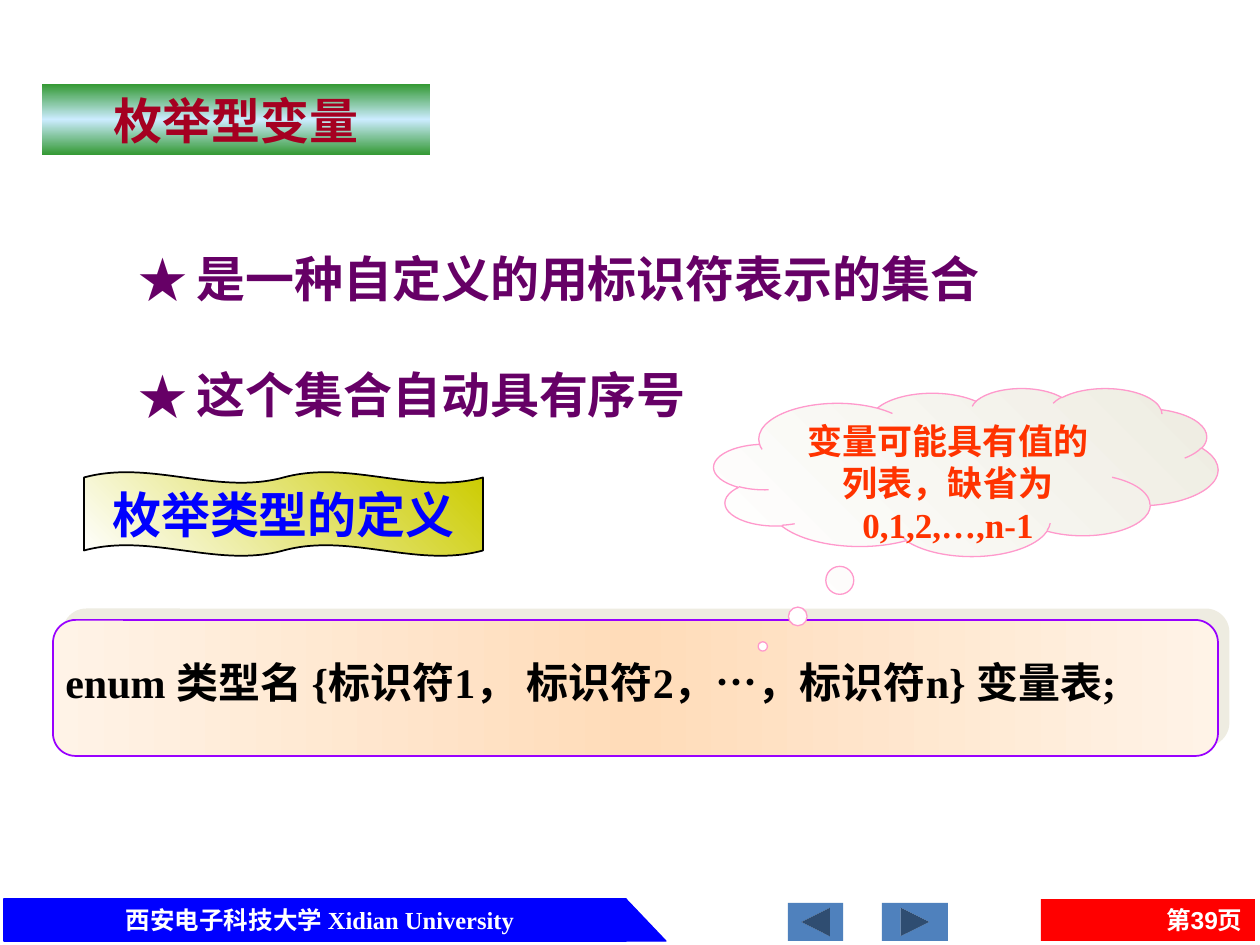
from lxml.etree import SubElement
from pptx import Presentation
from pptx.dml.color import RGBColor
from pptx.enum.shapes import MSO_SHAPE as Shape
from pptx.enum.text import MSO_ANCHOR as Anchor, MSO_AUTO_SIZE as AutoSize, PP_ALIGN as Align
from pptx.oxml.ns import qn
from pptx.util import Emu, Pt

PX_PER_INCH = 126
SERIF = "Times New Roman"
SANS_CJK = "Noto Sans CJK SC"


def px(length):
    return Emu(round(length * 914400 / PX_PER_INCH))


def color(hex_code):
    return RGBColor.from_string(hex_code)


def place(shape, left, top, width, height):
    shape.left, shape.top = px(left), px(top)
    shape.width, shape.height = px(width), px(height)


def write(shape, *lines, size, ink, font=SERIF, align=Align.LEFT, anchor=Anchor.TOP,
          wrap=True, gap=0, bullet=None, hang=0):
    """Fill a shape with one bold paragraph per line, with gap points between them."""
    frame = shape.text_frame
    frame.auto_size = AutoSize.NONE
    frame.word_wrap = wrap
    frame.vertical_anchor = anchor
    for number, line in enumerate(lines):
        paragraph = frame.add_paragraph() if number else frame.paragraphs[0]
        paragraph.text = line
        paragraph.alignment = align
        paragraph.space_before = Pt(gap if number else 0)
        if bullet:
            add_bullet(paragraph, bullet, font, px(hang))
        for run in paragraph.runs:
            run.font.size, run.font.bold, run.font.name = Pt(size), True, font
            run.font.color.rgb = color(ink)


def add_bullet(paragraph, mark, font, hang):
    properties = paragraph._p.get_or_add_pPr()
    properties.set("marL", str(hang))
    properties.set("indent", str(-hang))
    SubElement(properties, qn("a:buFont"), typeface=font)
    SubElement(properties, qn("a:buChar"), char=mark)


def paint_gradient(shape, *hex_codes, angle):
    """Spread the colours evenly; angle runs counter-clockwise."""
    shape.fill.gradient()
    shape.fill.gradient_angle = angle
    stops = shape._element.spPr.find(qn("a:gradFill")).find(qn("a:gsLst"))
    for stop in list(stops):
        stops.remove(stop)
    for number, hex_code in enumerate(hex_codes):
        position = 100000 * number // (len(hex_codes) - 1)
        stop = SubElement(stops, qn("a:gs"), pos=str(position))
        SubElement(stop, qn("a:srgbClr"), val=hex_code)


def add_figure(slide, kind, box, fill=None, outline=None, weight=0.75, adjust=()):
    figure = slide.shapes.add_shape(kind, *map(px, box))
    figure.shadow.inherit = False
    if fill:
        figure.fill.solid()
        figure.fill.fore_color.rgb = color(fill)
    if outline:
        figure.line.color.rgb = color(outline)
        figure.line.width = Pt(weight)
    else:
        figure.line.fill.background()
    for number, value in enumerate(adjust):
        figure.adjustments[number] = value
    return figure


def add_label(slide, box, text, **text_format):
    label = slide.shapes.add_textbox(*map(px, box))
    write(label, text, **text_format)


def cast_shadow(shape, hex_code, distance, angle):
    effects = shape._element.spPr.find(qn("a:effectLst"))
    shadow = SubElement(effects, qn("a:outerShdw"), dist=str(Pt(distance)),
                        dir=str(angle * 60000), algn="ctr", rotWithShape="0")
    SubElement(shadow, qn("a:srgbClr"), val=hex_code)


def add_footer(slide):
    top, height = 899, 42
    add_figure(slide, Shape.RECTANGLE, (4, top, 622, height), "0000FF", "0000FF")
    add_figure(slide, Shape.RIGHT_TRIANGLE, (626, top, 40, height), "0000FF", "0000FF")
    add_label(slide, (41, top, 558, height), "西安电子科技大学 Xidian University",
              size=14, ink="FFFFFF", align=Align.CENTER)
    page = add_figure(slide, Shape.RECTANGLE, (1041, top, 214, height), "FF0000")
    write(page, "第39页", size=14, ink="FFFFFF", font="Arial",
          align=Align.RIGHT, anchor=Anchor.MIDDLE)
    for left, width, turn in ((882, 66, 0), (788, 55, 180)):
        button = add_figure(slide, Shape.ACTION_BUTTON_FORWARD_OR_NEXT,
                            (left, 903, width, 38), "4F81BD")
        button.rotation = turn


def add_heading(slide):
    title = slide.shapes.title
    place(title, 42, 84, 388, 71)
    paint_gradient(title, "339933", "CCECFF", "339933", angle=90)
    write(title, "枚举型变量", size=28, ink="A50021", align=Align.CENTER)


def add_features(slide):
    features = slide.placeholders[1]
    place(features, 126, 242, 950, 187)
    write(features, "是一种自定义的用标识符表示的集合", "这个集合自动具有序号",
          size=28, ink="660066", font=SANS_CJK, gap=33, bullet="★", hang=58)


def add_definition(slide):
    banner = add_figure(slide, Shape.DOUBLE_WAVE, (84, 472, 399, 84),
                        outline="000000", weight=1, adjust=(0.065, 0))
    paint_gradient(banner, "FFFFFF", "CCCC00", angle=45)
    write(banner, "枚举类型的定义", size=28, ink="0000FF", font="Karla",
          align=Align.CENTER, anchor=Anchor.MIDDLE, wrap=False)

    panel = add_figure(slide, Shape.ROUNDED_RECTANGLE, (53, 620, 1165, 136),
                       outline="9900FF", weight=1, adjust=(0.167,))
    paint_gradient(panel, "FFF3E7", "FFDCB9", "FFF3E7", angle=0)
    cast_shadow(panel, "EEECE1", distance=8.5, angle=315)
    add_label(slide, (53, 650, 1142, 63),
              "enum 类型名 {标识符1， 标识符2，…，标识符n} 变量表;",
              size=24, ink="000000")


def add_value_note(slide):
    cloud = add_figure(slide, Shape.CLOUD_CALLOUT, (714, 388, 504, 168),
                       outline="FF99CC", adjust=(-0.403, 1.038))
    paint_gradient(cloud, "FFFFFF", "EEECE1", angle=45)
    write(cloud, "变量可能具有值的列表，缺省为0,1,2,…,n-1",
          size=20, ink="FF3300", align=Align.CENTER)


def main():
    deck = Presentation()
    deck.slide_width, deck.slide_height = px(1260), px(945)
    slide = deck.slides.add_slide(deck.slide_layouts[1])
    add_footer(slide)
    add_heading(slide)
    add_features(slide)
    add_definition(slide)
    add_value_note(slide)
    deck.save("out.pptx")


if __name__ == "__main__":
    main()
